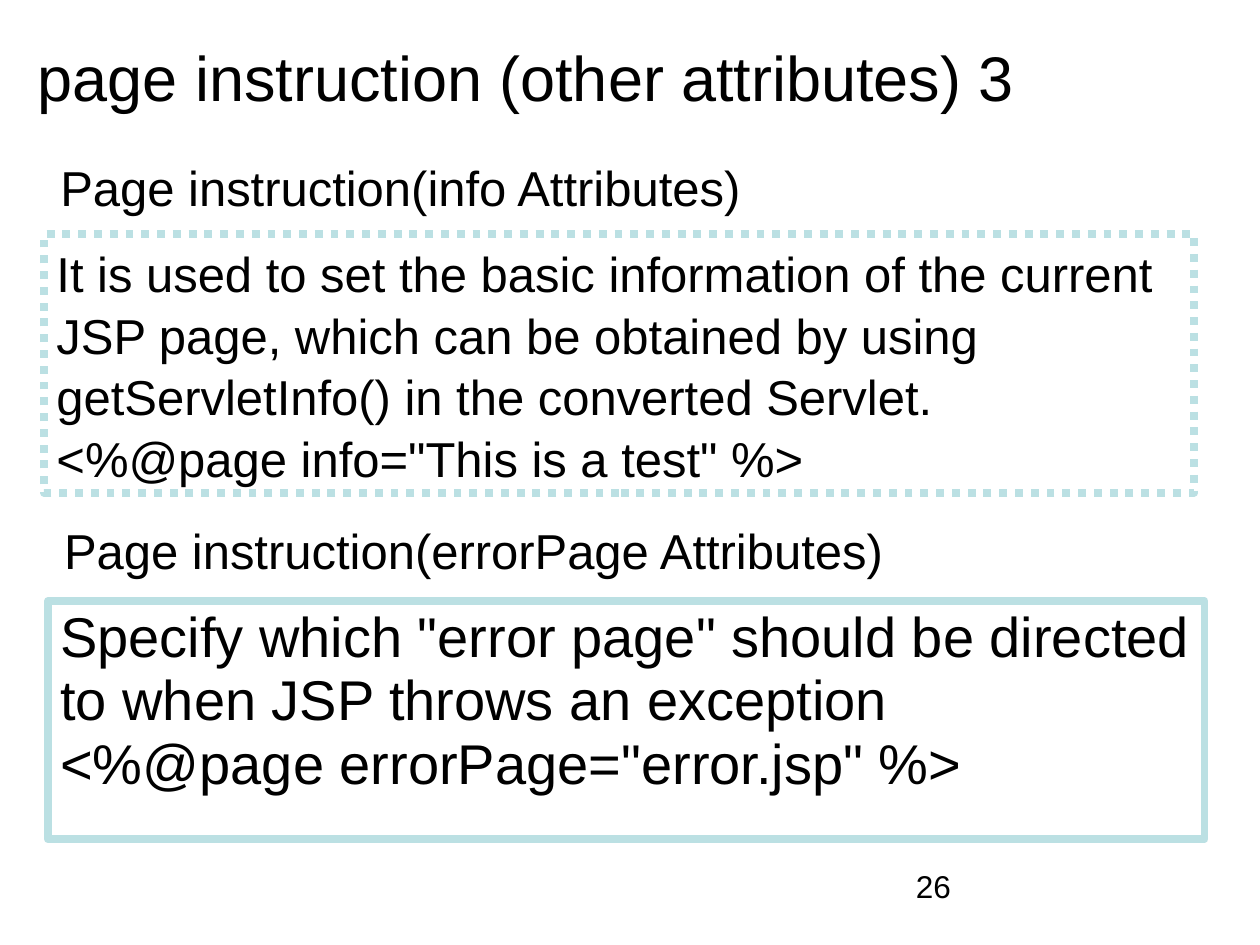
from pptx import Presentation
from pptx.dml.color import RGBColor
from pptx.enum.dml import MSO_LINE
from pptx.enum.shapes import MSO_SHAPE
from pptx.enum.text import MSO_ANCHOR, PP_ALIGN
from pptx.util import Inches, Pt

RECTANGLE = MSO_SHAPE.RECTANGLE
SOLID, DOTTED = MSO_LINE.SOLID, MSO_LINE.ROUND_DOT
TOP, MIDDLE = MSO_ANCHOR.TOP, MSO_ANCHOR.MIDDLE
LEFT = PP_ALIGN.LEFT

THEME = {
    "font": "Arial",
    "ink": RGBColor(0x00, 0x00, 0x00),
    "frame": RGBColor(0xBB, 0xE0, 0xE3),
    "frame_width": Pt(4.5),
    "title": Pt(36),
    "label": Pt(28),
    "body": Pt(28),
    "emphasis": Pt(32),
    "number": Pt(18),
}

deck = Presentation()
deck.slide_width, deck.slide_height = Inches(10), Inches(7.5)
COLUMN = deck.slide_width / 100
ROW = deck.slide_height / 75
slide = deck.slides.add_slide(deck.slide_layouts[6])


def place(column, row, columns, rows):
    return [int(n) for n in (column * COLUMN, row * ROW, columns * COLUMN, rows * ROW)]


def write(holder, paragraphs, size, spacing=1.0, anchor=TOP, wrap=True):
    frame = holder.text_frame
    frame.word_wrap = wrap
    frame.vertical_anchor = anchor
    frame.text = "\n".join(paragraphs)
    for paragraph in frame.paragraphs:
        paragraph.alignment = LEFT
        paragraph.line_spacing = spacing
        paragraph.font.name = THEME["font"]
        paragraph.font.size = THEME[size]
        paragraph.font.color.rgb = THEME["ink"]


title = slide.shapes.add_textbox(*place(2, 1.3, 90, 9.5))
write(title, ["page instruction (other attributes) 3"], "title", anchor=MIDDLE)

attributes = [
    (
        "Page instruction(info Attributes)", (3.8, 11.8, 56.2, 5.7),
        [
            "It is used to set the basic information of the current JSP page, "
            "which can be obtained by using getServletInfo() in the converted Servlet.",
            '<%@page info="This is a test" %>',
        ],
        (3.5, 18.6, 91.3, 20.5), "body", 1.05, DOTTED,
    ),
    (
        "Page instruction(errorPage Attributes)", (4.1, 40.6, 67.2, 5.7),
        [
            'Specify which "error page" should be directed to when JSP throws an exception',
            '<%@page errorPage="error.jsp" %>',
        ],
        (3.8, 47.7, 91.8, 18.9), "emphasis", 0.94, SOLID,
    ),
]

for heading, heading_area, explanation, area, size, spacing, dash in attributes:
    label = slide.shapes.add_textbox(*place(*heading_area))
    write(label, [heading], "label", spacing=1.05, wrap=False)

    panel = slide.shapes.add_shape(RECTANGLE, *place(*area))
    panel.shadow.inherit = False
    panel.fill.background()
    panel.line.color.rgb = THEME["frame"]
    panel.line.width = THEME["frame_width"]
    panel.line.dash_style = dash
    write(panel, explanation, size, spacing=spacing)

page_number = slide.shapes.add_textbox(*place(71.7, 68.3, 23.3, 5.2))
write(page_number, ["26"], "number")

deck.save("out.pptx")
